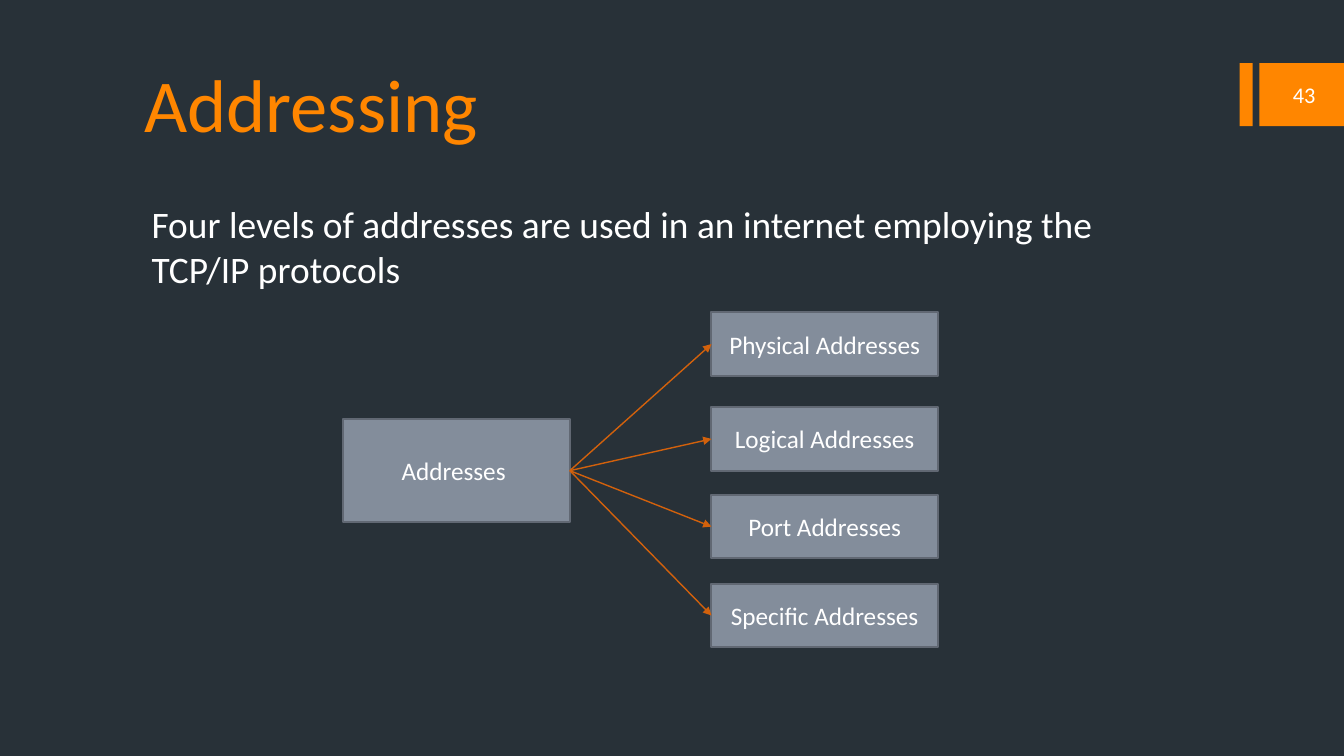
import pptx
import pptx.dml.color
import pptx.enum.shapes
import pptx.enum.text
import pptx.oxml.ns
import pptx.util
from lxml import etree

Cm = pptx.util.Cm
Pt = pptx.util.Pt
RGBColor = pptx.dml.color.RGBColor
Align = pptx.enum.text.PP_ALIGN
Anchor = pptx.enum.text.MSO_ANCHOR
qn = pptx.oxml.ns.qn

BACKGROUND = RGBColor(0x28, 0x31, 0x38)
ORANGE = RGBColor(0xFF, 0x86, 0x00)
ARROW = RGBColor(0xD2, 0x61, 0x0C)
BOX_FILL = RGBColor(0x83, 0x8D, 0x9B)
BOX_EDGE = RGBColor(0x61, 0x68, 0x73)
WHITE = RGBColor(0xFF, 0xFF, 0xFF)

LEVELS = [
    ("Physical Addresses", 7.87),
    ("Logical Addresses", 10.26),
    ("Port Addresses", 12.47),
    ("Specific Addresses", 14.71),
]
BOX_WIDTH = 5.71
RIGHT_SIDE, LEFT_SIDE = 3, 1


def write(frame, text, size, color, align, anchor):
    frame.word_wrap = True
    frame.vertical_anchor = anchor
    frame.text = text
    paragraph = frame.paragraphs[0]
    paragraph.alignment = align
    font = paragraph.runs[0].font
    font.name = "Calibri"
    font.size = Pt(size)
    font.color.rgb = color


def add_text(slide, place, text, size, color=WHITE, align=Align.LEFT, anchor=Anchor.TOP):
    frame = slide.shapes.add_textbox(*map(Cm, place)).text_frame
    write(frame, text, size, color, align, anchor)
    return frame


def add_block(slide, place, fill):
    block = slide.shapes.add_shape(
        pptx.enum.shapes.MSO_SHAPE.RECTANGLE, *map(Cm, place))
    block.shadow.inherit = False
    block.fill.solid()
    block.fill.fore_color.rgb = fill
    block.line.fill.background()
    return block


def add_address_box(slide, place, label):
    box = add_block(slide, place, BOX_FILL)
    box.line.color.rgb = BOX_EDGE
    box.line.width = Pt(1.5)
    write(box.text_frame, label, 18, WHITE, Align.CENTER, Anchor.MIDDLE)
    return box


def add_arrow(slide, source, target):
    arrow = slide.shapes.add_connector(
        pptx.enum.shapes.MSO_CONNECTOR.STRAIGHT, 0, 0, 0, 0)
    arrow.begin_connect(source, RIGHT_SIDE)
    arrow.end_connect(target, LEFT_SIDE)
    arrow.line.color.rgb = ARROW
    arrow.line.width = Pt(1)
    etree.SubElement(arrow.line._get_or_add_ln(), qn("a:tailEnd"), type="triangle")
    etree.SubElement(arrow._element.spPr, qn("a:effectLst"))


def main():
    deck = pptx.Presentation()
    deck.slide_width, deck.slide_height = Cm(33.87), Cm(19.05)
    slide = deck.slides.add_slide(deck.slide_layouts[6])
    slide.background.fill.solid()
    slide.background.fill.fore_color.rgb = BACKGROUND

    for left, width in [(31.24, 0.33), (31.74, 2.13)]:
        add_block(slide, (left, 1.59, width, 1.59), ORANGE)

    title = add_text(slide, (3.39, 0.51, 27.1, 3.2), "Addressing", 53.3,
                     ORANGE, anchor=Anchor.BOTTOM)
    title.margin_bottom = 0
    statement = add_text(
        slide, (3.39, 4.95, 27.1, 9.83),
        "Four levels of addresses are used in an internet employing the TCP/IP protocols",
        26.7)
    statement.margin_left = Cm(0.43)
    add_text(slide, (31.9, 1.96, 1.5, 0.84), "43", 16,
             align=Align.RIGHT, anchor=Anchor.MIDDLE)

    addresses = add_address_box(slide, (8.65, 10.57, BOX_WIDTH, 2.58), "Addresses ")
    levels = [add_address_box(slide, (17.93, top, BOX_WIDTH, 1.6), label)
              for label, top in LEVELS]
    for level in levels:
        add_arrow(slide, addresses, level)

    deck.save("out.pptx")


if __name__ == "__main__":
    main()
